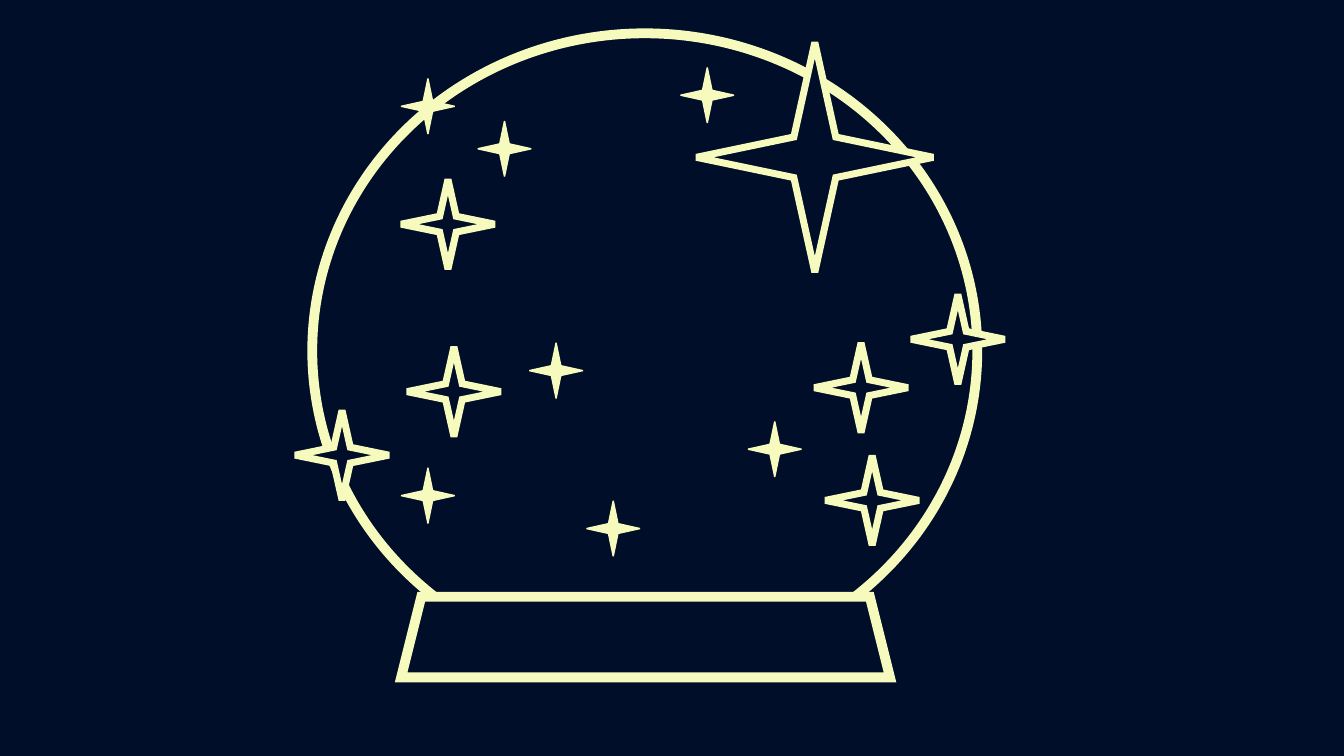
from dataclasses import dataclass

from lxml import etree
from pptx import Presentation
from pptx.dml.color import RGBColor
from pptx.enum.shapes import MSO_SHAPE
from pptx.oxml.ns import qn
from pptx.util import Cm, Pt

ELLIPSE = MSO_SHAPE.OVAL
TRAPEZOID = MSO_SHAPE.TRAPEZOID
STAR = MSO_SHAPE.STAR_4_POINT
BLANK_LAYOUT = 6


@dataclass(frozen=True)
class Theme:
    """Colours and line widths of the slide."""
    night: RGBColor = RGBColor(0x00, 0x0E, 0x2A)
    glow: RGBColor = RGBColor(0xF6, 0xFA, 0xBC)
    globe_line: int = 7
    star_line: int = 5
    spark_line: int = 1


theme = Theme()


def add_outline(page, kind, place, size, line_width, fill=theme.night):
    """Add a glowing shape with sharp corners; place and size are in cm."""
    shape = page.shapes.add_shape(kind, *map(Cm, place), *map(Cm, size))
    shape.shadow.inherit = False
    shape.fill.solid()
    shape.fill.fore_color.rgb = fill
    shape.line.color.rgb = theme.glow
    shape.line.width = Pt(line_width)
    line = shape._element.spPr.find(qn("a:ln"))
    etree.SubElement(line, qn("a:miter"), lim="800000")


deck = Presentation()
deck.slide_width, deck.slide_height = Cm(33.87), Cm(19.05)
page = deck.slides.add_slide(deck.slide_layouts[BLANK_LAYOUT])
page.background.fill.solid()
page.background.fill.fore_color.rgb = theme.night

# Snow globe and its base
add_outline(page, ELLIPSE, (7.87, 0.84), (16.76, 16), theme.globe_line)
add_outline(page, TRAPEZOID, (10.11, 15.04), (12.32, 2.03), theme.globe_line)

# One large star, then the hollow stars
add_outline(page, STAR, (17.55, 1.07), (5.97, 5.79), theme.star_line)
hollow_stars = [(10.11, 4.52), (10.26, 8.74), (20.8, 11.48),
                (7.44, 10.34), (20.52, 8.64), (22.96, 7.42)]
for place in hollow_stars:
    add_outline(page, STAR, place, (2.36, 2.26), theme.star_line)

# Small filled sparks
sparks = [(18.85, 10.62), (10.11, 1.98), (13.34, 8.64), (12.04, 3.05),
          (10.11, 11.79), (14.78, 12.62), (17.15, 1.7)]
for place in sparks:
    add_outline(page, STAR, place, (1.35, 1.4), theme.spark_line, fill=theme.glow)

deck.save("out.pptx")
